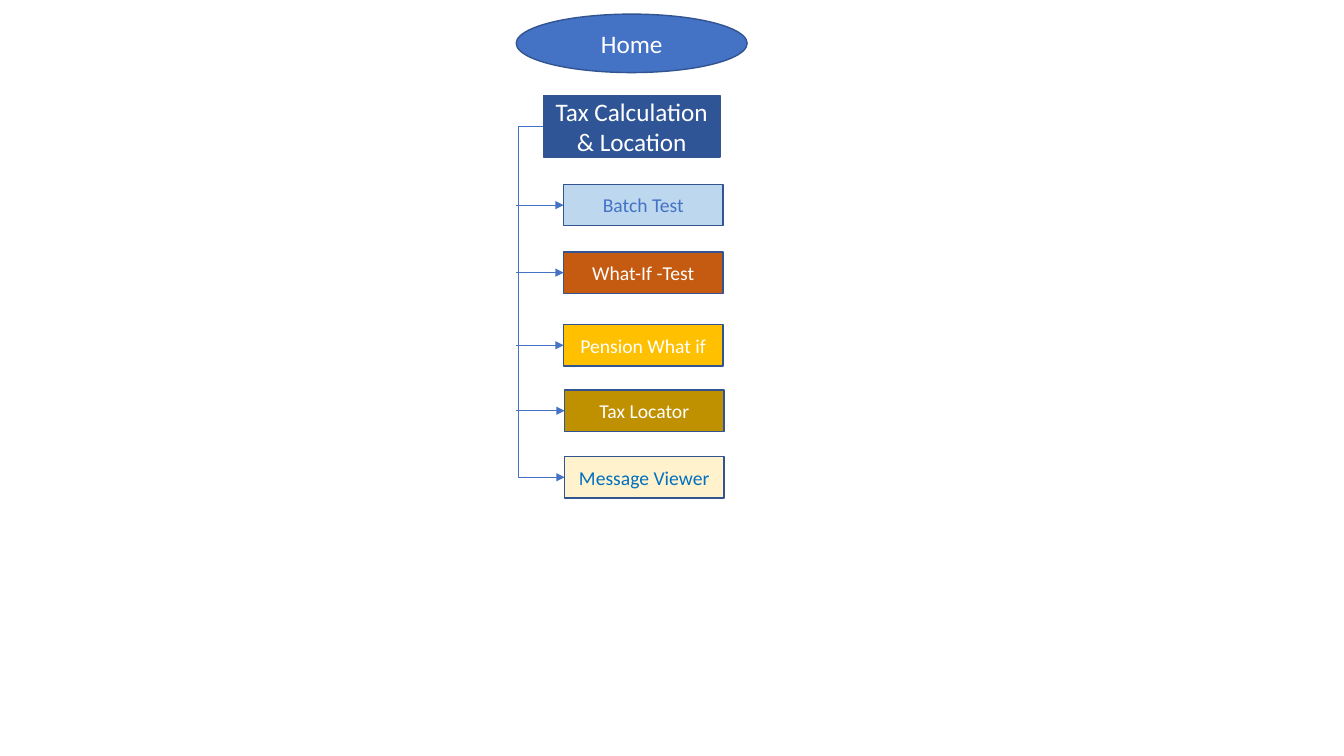
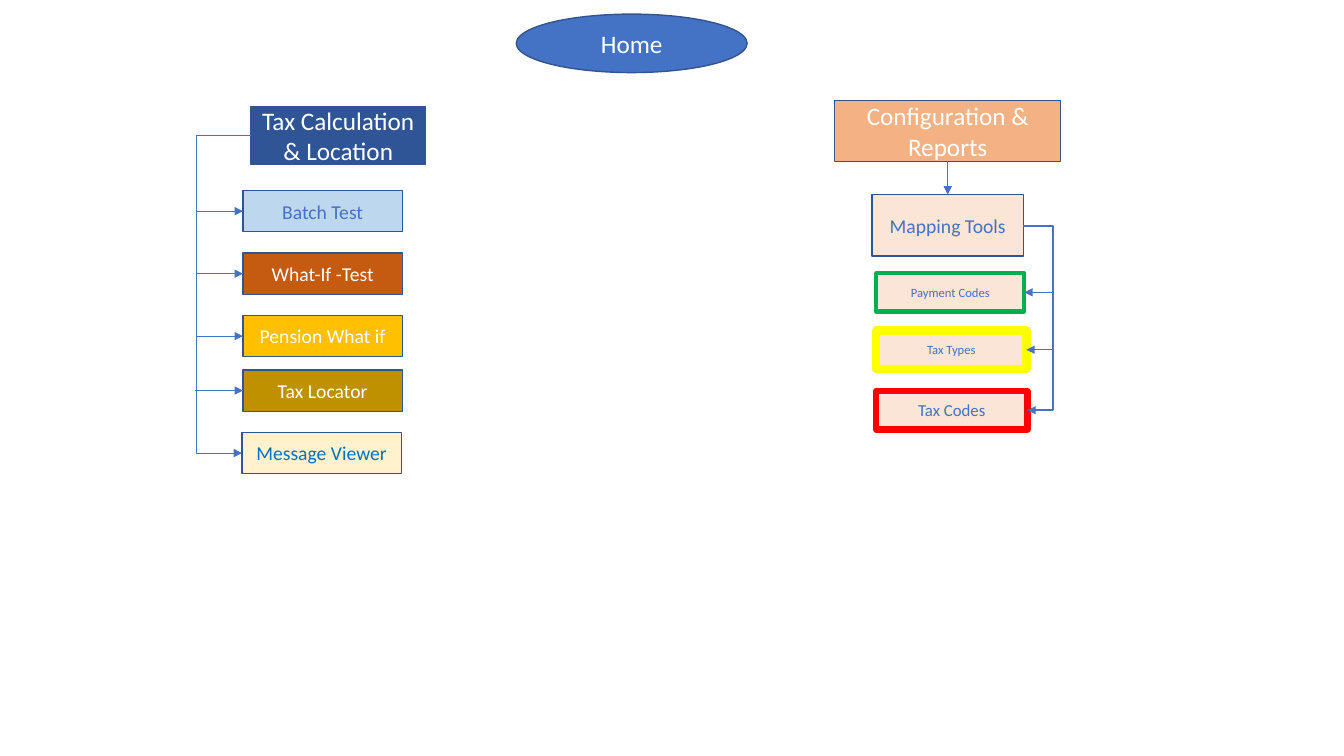
from pptx import Presentation
from pptx.dml.color import RGBColor
from pptx.enum.shapes import MSO_CONNECTOR, MSO_SHAPE
from pptx.enum.text import MSO_ANCHOR, PP_ALIGN
from pptx.oxml.ns import qn
from pptx.util import Inches, Pt
from lxml.etree import SubElement

# Shared colours and sizes
BLUE, NAVY, OUTLINE, WHITE = "4472C4", "2F5597", "325491", "FFFFFF"
PEACH, ORANGE = "FBE5D6", "F4B183"
HEADING_SIZE, ITEM_SIZE = 18, 14
ITEM_WIDTH, ITEM_HEIGHT = 1.58, 0.41

MENU_ITEMS = [
    ("Batch Test", "BDD7EE", BLUE),
    ("What-If -Test", "C55A11", WHITE),
    ("Pension What if", "FFC000", WHITE),
    ("Tax Locator", "BF9000", WHITE),
    ("Message Viewer", "FFF2CC", "0070C0"),
]


def add_box(slide, text, box, fill, color=WHITE, size=ITEM_SIZE,
            outline=OUTLINE, weight=1, kind=MSO_SHAPE.RECTANGLE):
    shape = slide.shapes.add_shape(kind, *[Inches(length) for length in box])
    shape.shadow.inherit = False
    shape.fill.solid()
    shape.fill.fore_color.rgb = RGBColor.from_string(fill)
    shape.line.color.rgb = RGBColor.from_string(outline)
    shape.line.width = Pt(weight)
    frame = shape.text_frame
    frame.word_wrap = True
    frame.vertical_anchor = MSO_ANCHOR.MIDDLE
    frame.text = text
    paragraph = frame.paragraphs[0]
    paragraph.alignment = PP_ALIGN.CENTER
    font_format = {"name": "Calibri", "size": Pt(size)}
    for run in paragraph.runs:
        for name, value in font_format.items():
            setattr(run.font, name, value)
        run.font.color.rgb = RGBColor.from_string(color)


def add_arrow(slide, start, end, bend=None, weight=0.5):
    """Draw a straight arrow, or an elbow whose upright runs at x = bend."""
    kind = MSO_CONNECTOR.STRAIGHT if bend is None else MSO_CONNECTOR.ELBOW
    points = [Inches(length) for length in (*start, *end)]
    connector = slide.shapes.add_connector(kind, *points)
    connector.line.color.rgb = RGBColor.from_string(BLUE)
    connector.line.width = Pt(weight)
    properties = connector._element.spPr
    SubElement(properties.find(qn("a:ln")), qn("a:tailEnd"), type="triangle")
    SubElement(properties, qn("a:effectLst"))
    if bend is not None:
        ratio = round((bend - start[0]) / (end[0] - start[0]) * 100000)
        adjustments = properties.find(qn("a:prstGeom")).get_or_add_avLst()
        SubElement(adjustments, qn("a:gd"), name="adj1", fmla=f"val {ratio}")


presentation = Presentation()
presentation.slide_width = Inches(13.33)
presentation.slide_height = Inches(7.5)

# Per slide: heading box, x of the upright, left and top of each item,
# and x where each branch starts
menus = [
    {"heading": (5.39, 0.95, 1.75, 0.61), "upright": 5.14,
     "lefts": (5.59, 5.59, 5.59, 5.6, 5.6),
     "tops": (1.83, 2.5, 3.22, 3.87, 4.53),
     "starts": (5.12, 5.12, 5.12, 5.12)},
    {"heading": (2.49, 1.06, 1.73, 0.57), "upright": 1.95,
     "lefts": (2.41, 2.41, 2.41, 2.41, 2.4),
     "tops": (1.89, 2.51, 3.13, 3.67, 4.29),
     "starts": (1.95, 1.95, 1.95, 1.93)},
]

# Home and the tax calculation menu, on both slides
for menu in menus:
    slide = presentation.slides.add_slide(presentation.slide_layouts[6])
    add_box(slide, "Home", (5.12, 0.14, 2.29, 0.58), BLUE,
            size=HEADING_SIZE, kind=MSO_SHAPE.OVAL)
    add_box(slide, "Tax Calculation & Location", menu["heading"], NAVY,
            size=HEADING_SIZE)
    for (text, fill, color), left, top in zip(MENU_ITEMS, menu["lefts"], menu["tops"]):
        add_box(slide, text, (left, top, ITEM_WIDTH, ITEM_HEIGHT), fill, color)

    # Branches to the items; the elbow reaches the last one
    middles = [top + ITEM_HEIGHT / 2 for top in menu["tops"]]
    for start, left, middle in zip(menu["starts"], menu["lefts"], middles):
        add_arrow(slide, (start, middle), (left, middle))
    left, top, width, height = menu["heading"]
    add_arrow(slide, (left, top + height / 2), (menu["lefts"][-1], middles[-1]),
              bend=menu["upright"])

# Configuration branch, on the second slide only
add_box(slide, "Configuration &\vReports", (8.28, 1, 2.24, 0.6), ORANGE,
        size=HEADING_SIZE)
add_box(slide, "Mapping Tools", (8.65, 1.93, 1.5, 0.61), PEACH, BLUE)
add_arrow(slide, (9.4, 1.6), (9.4, 1.93))

mapping_items = [
    ("Payment Codes", 2.71, 1.47, 9, "00B050", 3),
    ("Tax Types", 3.28, 1.49, 9, "FFFF00", 6),
    ("Tax Codes", 3.88, 1.5, 12, "FF0000", 4.5),
]
for text, top, width, size, outline, weight in mapping_items:
    add_box(slide, text, (8.69, top, width, 0.38), PEACH, BLUE, size, outline, weight)
    middle, right = top + 0.19, 8.69 + width
    if text == "Tax Codes":
        add_arrow(slide, (10.15, 2.24), (right, middle), bend=10.44, weight=1.5)
    else:
        add_arrow(slide, (10.43, middle), (right, middle))

presentation.save("out.pptx")
